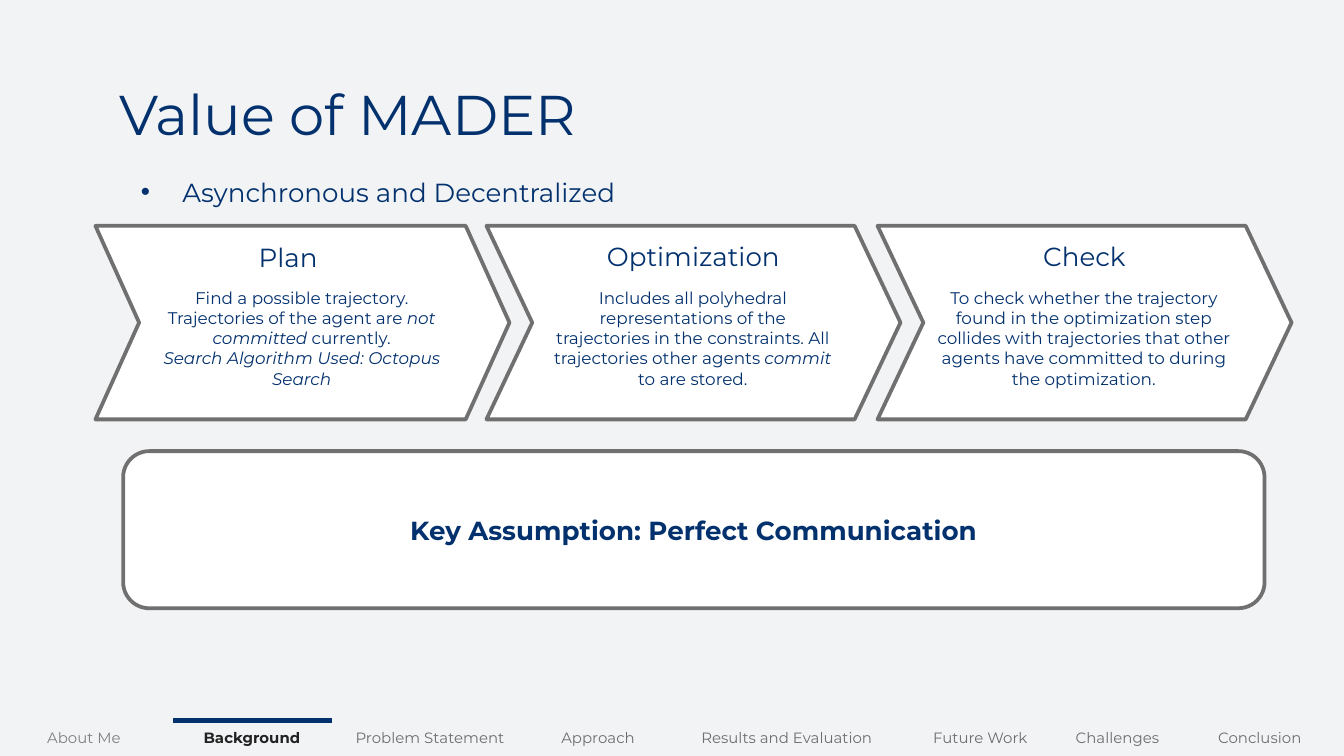
import itertools

import pptx
import pptx.dml.color
import pptx.enum.shapes
import pptx.enum.text
import pptx.oxml
import pptx.oxml.ns
import pptx.util

Pt = pptx.util.Pt
RGB = pptx.dml.color.RGBColor.from_string
ALIGN = pptx.enum.text.PP_ALIGN
ANCHOR = pptx.enum.text.MSO_ANCHOR
SHAPE = pptx.enum.shapes.MSO_SHAPE

# Content: a paragraph is a list of (text, extra font format) runs
TITLE = "Value of MADER"
POINT = "Asynchronous and Decentralized"
ITALIC = {"italic": True}
STEPS = [
    {"heading": "Plan", "heading_center": 154.4, "heading_top": 126, "notch": 0.226,
     "detail_width": 165,
     "detail": [[("Find a possible trajectory. Trajectories of the agent are ", {}),
                 ("not committed ", ITALIC), ("currently.", {})],
                [("Search Algorithm Used: Octopus Search", ITALIC)]]},
    {"heading": "Optimization", "heading_center": 162, "heading_top": 125.3, "notch": 0.237,
     "detail_width": 165,
     "detail": [[("Includes all polyhedral representations of the trajectories in the "
                  "constraints. All trajectories other agents ", {}),
                 ("commit", ITALIC), (" to are stored.", {})]]},
    {"heading": "Check", "heading_center": 162, "heading_top": 125.3, "notch": 0.237,
     "detail_width": 183,
     "detail": [[("To check whether the trajectory found in the optimization step collides "
                  "with trajectories that other agents have committed to during the "
                  "optimization.", {})]]},
]
ASSUMPTION = "Key Assumption: Perfect Communication"
SECTIONS = [("About Me", 90), ("Background", 90), ("Problem Statement", 100.8),
            ("Approach", 79.2), ("Results and Evaluation", 123.1), ("Future Work", 84.3),
            ("Challenges", 62.6), ("Conclusion", 90)]
CURRENT_SECTION = "Background"

THEME = {
    "font": "Montserrat", "background": "F1F3F5", "navy": "03316E", "panel": "FFFFFF",
    "outline": "707070", "first_section": "808080", "section": "6E6E6E", "current": "222222",
    "title_size": 30, "heading_size": 14, "detail_size": 9, "section_size": 8,
}
STEP_LEFT, STEP_PITCH, DETAIL_CENTER = 51.1, 209.5, 161.6
NO_TABLE_STYLE = "{2D5ABB26-0587-4C30-8999-92F81FD0307C}"


def write(frame, paragraphs, size, color="navy", align=ALIGN.CENTER, **font_format):
    frame.word_wrap = True
    for index, runs in enumerate(paragraphs):
        paragraph = frame.paragraphs[0] if index == 0 else frame.add_paragraph()
        paragraph.alignment = align
        for text, extra in runs:
            run = paragraph.add_run()
            run.text = text
            run.font.color.rgb = RGB(THEME[color])
            values = {"name": THEME["font"], "size": Pt(THEME[size]), **font_format, **extra}
            for attribute, value in values.items():
                setattr(run.font, attribute, value)


def set_insets(frame, inset):
    for side in ("left", "top", "right", "bottom"):
        setattr(frame, f"margin_{side}", Pt(inset))


def add_text(slide, box, paragraphs, size, **font_format):
    frame = slide.shapes.add_textbox(*map(Pt, box)).text_frame
    write(frame, paragraphs, size, **font_format)
    return frame


def add_panel(slide, kind, box):
    """Add a white outlined shape."""
    panel = slide.shapes.add_shape(kind, *map(Pt, box))
    panel.shadow.inherit = False
    panel.fill.solid()
    panel.fill.fore_color.rgb = RGB(THEME["panel"])
    panel.line.color.rgb = RGB(THEME["outline"])
    panel.line.width = Pt(2)
    return panel


def add_navigation(slide):
    widths = [width for _, width in SECTIONS]
    navigation = slide.shapes.add_table(1, len(SECTIONS), 0, Pt(386), Pt(sum(widths)), Pt(19)).table
    navigation.first_row = navigation.horz_banding = False
    navigation._tbl.tblPr.find(pptx.oxml.ns.qn("a:tableStyleId")).text = NO_TABLE_STYLE
    navigation.rows[0].height = Pt(19)
    for column, (section, width) in enumerate(SECTIONS):
        navigation.columns[column].width = Pt(width)
        cell = navigation.cell(0, column)
        cell.fill.background()
        cell.vertical_anchor = ANCHOR.MIDDLE
        current = section == CURRENT_SECTION
        color = "current" if current else "section" if column else "first_section"
        write(cell.text_frame, [[(section, {})]], "section_size", color, bold=current)

    starts = [0, *itertools.accumulate(widths)]
    current = [section for section, _ in SECTIONS].index(CURRENT_SECTION)
    marker = slide.shapes.add_connector(
        pptx.enum.shapes.MSO_CONNECTOR.STRAIGHT, Pt(starts[current] + 2.9), Pt(386),
        Pt(starts[current + 1] - 2.2), Pt(386))
    marker.line.color.rgb = RGB(THEME["navy"])
    marker.line.width = Pt(2.25)
    pptx.oxml.ns.qn("a:effectLst")
    marker._element.spPr.append(pptx.oxml.parse_xml(
        f'<a:effectLst {pptx.oxml.ns.nsdecls("a")}/>'))


def add_title(slide):
    title = slide.shapes.title
    for side, value in zip(("left", "top", "width", "height"), (56.9, 35.3, 607, 45.4)):
        setattr(title, side, Pt(value))
    frame = title.text_frame
    frame.auto_size = pptx.enum.text.MSO_AUTO_SIZE.NONE
    frame.vertical_anchor = ANCHOR.TOP
    set_insets(frame, 7.2)
    write(frame, [[(TITLE, {})]], "title_size", align=ALIGN.LEFT)


def add_point(slide):
    frame = add_text(slide, (56.9, 87.1, 491, 273), [[(POINT, {})]], "heading_size",
                     align=ALIGN.LEFT)
    set_insets(frame, 7.2)
    properties = frame.paragraphs[0]._p.get_or_add_pPr()
    properties.set("marL", str(Pt(33.8)))
    properties.set("indent", str(Pt(-22.3)))
    namespace = pptx.oxml.ns.nsdecls("a")
    for bullet in (f'<a:buClr {namespace}><a:srgbClr val="{THEME["navy"]}"/></a:buClr>',
                   f'<a:buFont {namespace} typeface="Arial"/>',
                   f'<a:buChar {namespace} char="•"/>'):
        properties.append(pptx.oxml.parse_xml(bullet))


def add_steps(slide):
    for index, step in enumerate(STEPS):
        chevron = add_panel(slide, SHAPE.CHEVRON,
                            (STEP_LEFT + index * STEP_PITCH, 121, 221.8, 103.7))
        chevron.adjustments[0] = step["notch"]
    for index, step in enumerate(STEPS):
        offset = index * STEP_PITCH
        heading_left = step["heading_center"] + offset - 79
        add_text(slide, (heading_left, step["heading_top"], 158, 24.5),
                 [[(step["heading"], {})]], "heading_size")
        width = step["detail_width"]
        add_text(slide, (DETAIL_CENTER + offset - width / 2, 150.5, width, 62),
                 step["detail"], "detail_size")


def main():
    deck = pptx.Presentation()
    deck.slide_width, deck.slide_height = Pt(720), Pt(405)
    slide = deck.slides.add_slide(deck.slide_layouts[5])
    slide.background.fill.solid()
    slide.background.fill.fore_color.rgb = RGB(THEME["background"])
    add_navigation(slide)
    add_title(slide)
    add_point(slide)
    add_steps(slide)
    assumption = add_panel(slide, SHAPE.ROUNDED_RECTANGLE, (66, 241.7, 611.5, 84.2))
    assumption.text_frame.vertical_anchor = ANCHOR.MIDDLE
    write(assumption.text_frame, [[(ASSUMPTION, {})]], "heading_size", bold=True)
    deck.save("out.pptx")


if __name__ == "__main__":
    main()
